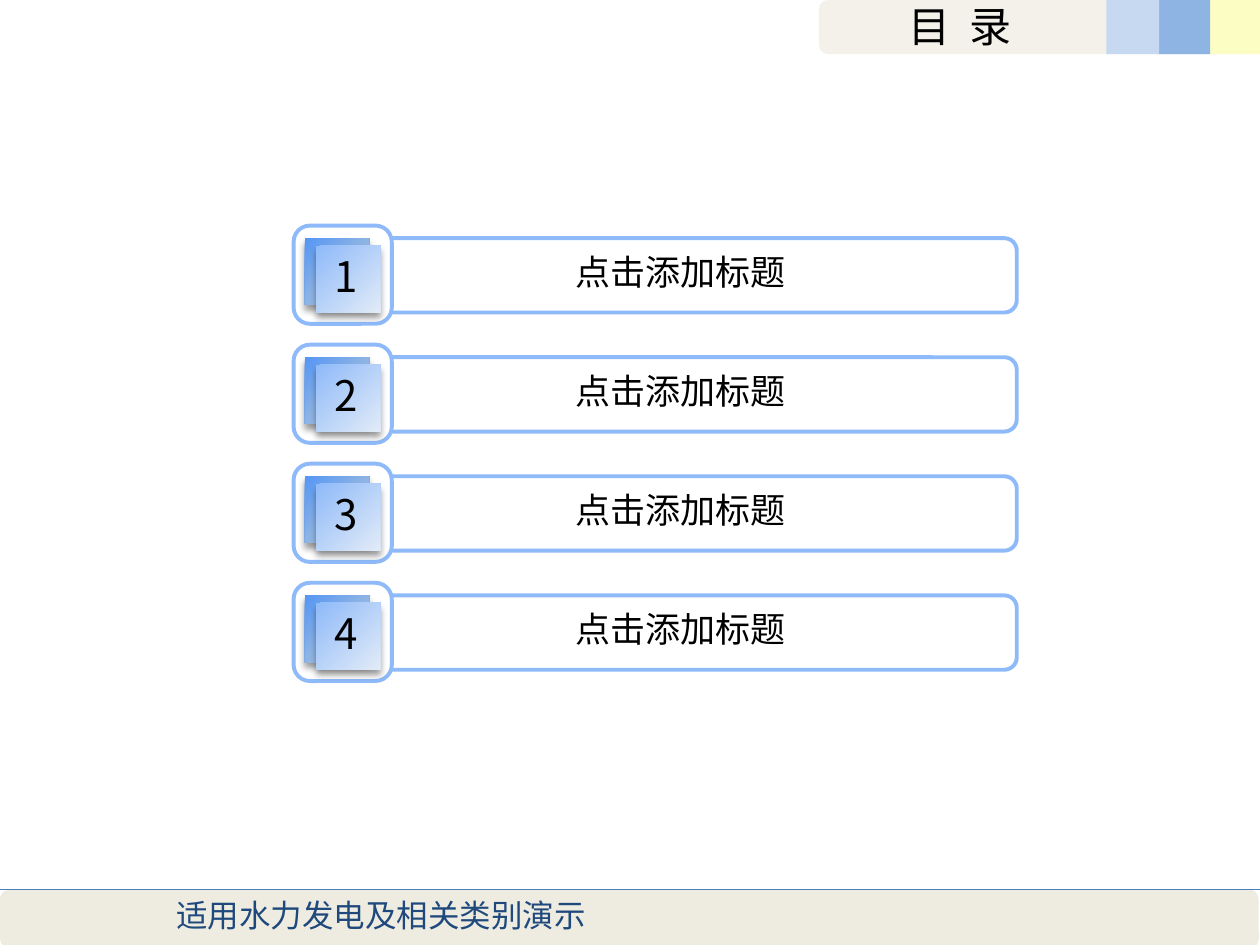
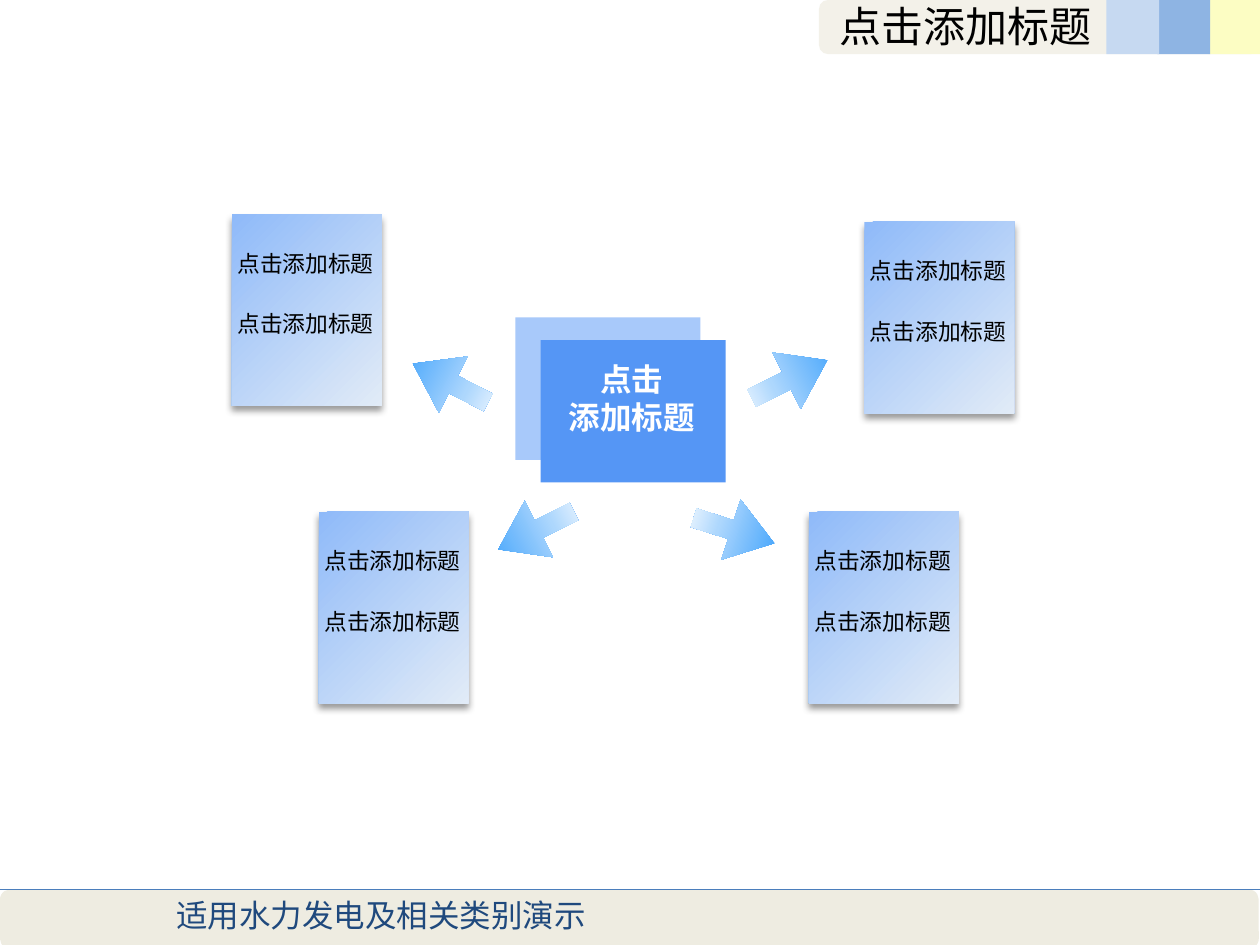
from dataclasses import dataclass
from typing import NamedTuple, Optional, Union

from lxml import etree
from pptx import Presentation
from pptx import util as u
from pptx.dml.color import RGBColor
from pptx.enum import shapes, text
from pptx.oxml.ns import qn

# The page is a grid of 100 columns by 75 rows
WIDTH, HEIGHT = u.Inches(10), u.Inches(7.5)
COLUMNS, ROWS = 100, 75
PRESET = shapes.MSO_SHAPE
PLACEHOLDER_TEXT = "点击添加标题"


class Gradient(NamedTuple):
    stops: tuple[tuple[int, str], ...]
    angle: int


Fill = Union[str, Gradient]


@dataclass(frozen=True)
class Theme:
    font: str = "Noto Sans CJK SC"
    black: str = "000000"
    white: str = "FFFFFF"
    beige: str = "EEECE1"
    footer_text: str = "1F497D"
    rule: str = "4B7EBC"
    outline: str = "8FBAF9"
    hub: str = "5596F5"
    hub_back: str = "A8C9FA"
    header_blocks: tuple[str, ...] = ("FCFDC3", "8EB4E3", "C6D9F1")
    card: Gradient = Gradient(((0, "8FBAF9"), (100, "E1EBF7")), 45)
    badge: Gradient = Gradient(((0, "5596F5"), (50, "8EB4E3"), (100, "C6D9F1")), 45)
    arrow: Gradient = Gradient(((0, "339CFB"), (63, "ADD7FD"), (100, "FFFFFF")), 0)
    title_size: int = 24
    label_size: int = 20
    body_size: int = 18
    card_size: int = 13
    outline_width: float = 2.25


THEME = Theme()


class Box(NamedTuple):
    left: float
    top: float
    width: float
    height: float

    def lengths(self) -> tuple[int, int, int, int]:
        return (columns(self.left), rows(self.top), columns(self.width), rows(self.height))


@dataclass(frozen=True)
class Style:
    size: int
    color: str = THEME.black
    bold: bool = False
    centred: bool = False
    wrap: bool = True


class Arrow(NamedTuple):
    left: float
    top: float
    rotation: float


class Card(NamedTuple):
    left: float
    top: float


def columns(count: float) -> int:
    return round(WIDTH * count / COLUMNS)


def rows(count: float) -> int:
    return round(HEIGHT * count / ROWS)


# Drawing helpers
def paint(shape, fill: Fill) -> None:
    if isinstance(fill, str):
        shape.fill.solid()
        shape.fill.fore_color.rgb = RGBColor.from_string(fill)
        return
    shape.fill.gradient()
    shape.fill.gradient_angle = -fill.angle % 360
    stop_list = shape.element.spPr.find(".//" + qn("a:gsLst"))
    for stop in list(stop_list):
        stop_list.remove(stop)
    for position, color in fill.stops:
        stop = etree.SubElement(stop_list, qn("a:gs"), pos=str(position * 1000))
        etree.SubElement(stop, qn("a:srgbClr"), val=color)


def add_shadow(shape) -> None:
    effects = shape.element.spPr.find(qn("a:effectLst"))
    shadow = etree.SubElement(
        effects, qn("a:outerShdw"), blurRad=str(u.Pt(4)), dist=str(u.Pt(3)),
        dir="5400000", algn="t", rotWithShape="0")
    color = etree.SubElement(shadow, qn("a:srgbClr"), val=THEME.black)
    etree.SubElement(color, qn("a:alpha"), val="40000")


def add_block(slide, preset, box: Box, fill: Fill, outline: Optional[str] = None,
              shadow: bool = False):
    shape = slide.shapes.add_shape(preset, *box.lengths())
    shape.shadow.inherit = False
    paint(shape, fill)
    if outline:
        shape.line.color.rgb = RGBColor.from_string(outline)
        shape.line.width = u.Pt(THEME.outline_width)
    else:
        shape.line.fill.background()
    if shadow:
        add_shadow(shape)
    return shape


def add_rule(slide, top: float, right: float, width: float) -> None:
    line = slide.shapes.add_connector(
        shapes.MSO_CONNECTOR.STRAIGHT, 0, rows(top), columns(right), rows(top))
    line.line.color.rgb = RGBColor.from_string(THEME.rule)
    line.line.width = u.Pt(width)
    etree.SubElement(line.element.spPr, qn("a:effectLst"))


def write(shape, lines: list[str], style: Style) -> None:
    frame = shape.text_frame
    frame.text = "\n".join(lines)
    frame.word_wrap = style.wrap
    frame.auto_size = text.MSO_AUTO_SIZE.SHAPE_TO_FIT_TEXT
    frame.vertical_anchor = text.MSO_ANCHOR.TOP
    for paragraph in frame.paragraphs:
        paragraph.alignment = text.PP_ALIGN.CENTER if style.centred else text.PP_ALIGN.LEFT
        font = paragraph.font
        font.size = u.Pt(style.size)
        font.bold = style.bold
        font.color.rgb = RGBColor.from_string(style.color)
        font.name = THEME.font
        defaults = paragraph._p.pPr.find(qn("a:defRPr"))
        etree.SubElement(defaults, qn("a:ea"), typeface=THEME.font)


def add_text(slide, box: Box, lines: list[str], style: Style) -> None:
    write(slide.shapes.add_textbox(*box.lengths()), lines, style)


def set_title(slide, title: str, left: float, width: float, spacing: int = 0) -> None:
    shape = slide.shapes.title
    shape.left, shape.top, shape.width, shape.height = Box(left, -0.5, width, 5.1).lengths()
    write(shape, [title], Style(THEME.title_size, wrap=False))
    if spacing:
        run = shape.text_frame.paragraphs[0].runs[0]
        run.font._element.set("spc", str(spacing))


# Header band and footer, shared through the layout
def draw_frame(slide) -> None:
    header = add_block(slide, PRESET.ROUNDED_RECTANGLE, Box(65, 0, 35, 4.3), THEME.beige)
    color = header.element.spPr.find(qn("a:solidFill"))[0]
    etree.SubElement(color, qn("a:alpha"), val="70000")
    for index, fill in enumerate(THEME.header_blocks):
        add_block(slide, PRESET.RECTANGLE, Box(95.9 - 4.05 * index, 0, 4.2, 4.3), fill)
    add_rule(slide, 72.7, 13, 2.25)
    add_block(slide, PRESET.ROUNDED_RECTANGLE, Box(0, 70.6, 99.9, 4.7), THEME.beige)
    add_text(slide, Box(13, 70.6, 34.7, 4), ["适用水力发电及相关类别演示"],
             Style(THEME.body_size, THEME.footer_text))
    add_rule(slide, 70.6, COLUMNS, 0.25)


def share_frame(slide) -> None:
    layout_title, *unused = slide.slide_layout.placeholders
    tree = layout_title.element.getparent()
    for placeholder in unused:
        tree.remove(placeholder.element)
    draw_frame(slide)
    for shape in list(slide.shapes):
        if not shape.is_placeholder:
            tree.append(shape.element)


# Slide 1: contents
def draw_contents(slide) -> None:
    set_title(slide, "目 录", 71.1, 12.1, spacing=270)
    number_style = Style(THEME.title_size, wrap=False)
    label_style = Style(THEME.label_size, centred=True)
    for index in range(4):
        top = 17.9 + 9.45 * index
        add_block(slide, PRESET.ROUNDED_RECTANGLE, Box(29, top + 1, 51.7, 5.9),
                  THEME.white, THEME.outline)
        add_block(slide, PRESET.ROUNDED_RECTANGLE, Box(23.3, top, 7.8, 7.8),
                  THEME.white, THEME.outline)
        add_block(slide, PRESET.RECTANGLE, Box(24.2, top + 1, 5.1, 5.3),
                  THEME.badge, shadow=True)
        add_block(slide, PRESET.RECTANGLE, Box(25.1, top + 1.6, 5.1, 5.3),
                  THEME.card, shadow=True)
        add_text(slide, Box(25.6, top + 1.5, 3.7, 5.1), [str(index + 1)], number_style)
        add_text(slide, Box(39, top + 1.5, 30, 4.5), [PLACEHOLDER_TEXT], label_style)


# Slide 2: hub with four cards
ARROWS = (Arrow(59.3, 27.6, 153.3), Arrow(39.2, 39.6, 333.4),
          Arrow(32.4, 27.9, 27.3), Arrow(54.9, 39.6, 197.6))
CARDS = (Card(18.4, 17), Card(68.6, 17.6), Card(25.3, 40.6), Card(64.2, 40.6))


def draw_hub(slide) -> None:
    set_title(slide, PLACEHOLDER_TEXT, 65.6, 22.2)
    for arrow in ARROWS:
        shape = add_block(slide, PRESET.LEFT_ARROW, Box(arrow.left, arrow.top, 6.7, 5),
                          THEME.arrow)
        shape.adjustments[0], shape.adjustments[1] = 0.31, 0.72
        shape.rotation = arrow.rotation
    add_block(slide, PRESET.RECTANGLE, Box(40.9, 25.2, 14.7, 11.3), THEME.hub_back)
    add_block(slide, PRESET.RECTANGLE, Box(42.9, 27, 14.7, 11.3), THEME.hub)
    card_style = Style(THEME.card_size, centred=True)
    for card in CARDS:
        add_block(slide, PRESET.RECTANGLE, Box(card.left, card.top, 11.9, 15.2),
                  THEME.card, shadow=True)
        for offset in (2.3, 7.1):
            add_text(slide, Box(card.left - 3.5, card.top + offset, 18.7, 3.2),
                     [PLACEHOLDER_TEXT], card_style)
    add_text(slide, Box(40.8, 28.1, 18.7, 7.1), ["点击", "添加标题"],
             Style(THEME.body_size, THEME.white, bold=True, centred=True))


def main() -> None:
    presentation = Presentation()
    presentation.slide_width, presentation.slide_height = WIDTH, HEIGHT
    title_only = presentation.slide_layouts[5]
    contents = presentation.slides.add_slide(title_only)
    share_frame(contents)
    draw_contents(contents)
    draw_hub(presentation.slides.add_slide(title_only))
    presentation.save("out.pptx")


if __name__ == "__main__":
    main()
